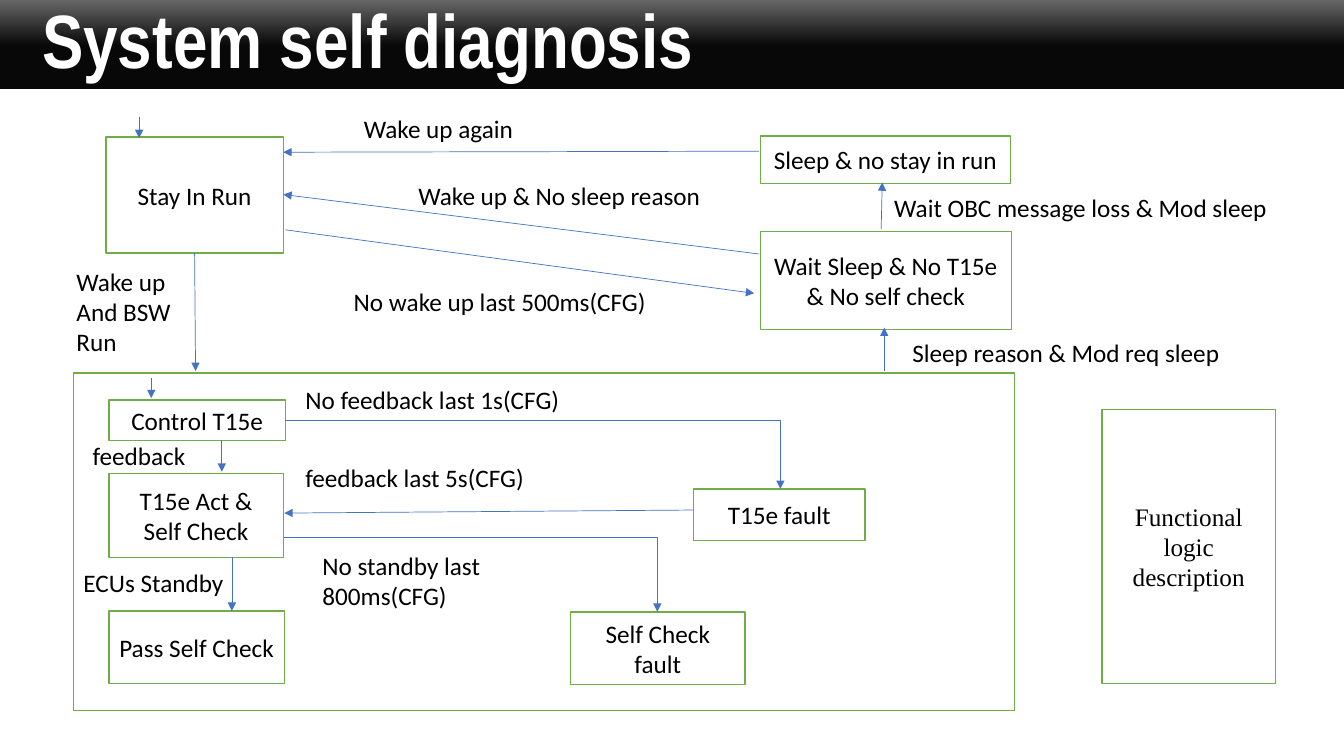
from lxml import etree
from pptx import Presentation
from pptx.dml.color import RGBColor
from pptx.enum import shapes, text
from pptx.oxml.ns import qn
from pptx.util import Inches, Pt

BLACK = RGBColor(0x00, 0x00, 0x00)
NEAR_BLACK = RGBColor(0x08, 0x08, 0x08)
GREY = RGBColor(0x66, 0x66, 0x66)
WHITE = RGBColor(0xFF, 0xFF, 0xFF)
GREEN = RGBColor(0x70, 0xAD, 0x47)
BLUE = RGBColor(0x44, 0x72, 0xC4)


def write(box, wording, align=text.PP_ALIGN.LEFT, font="Calibri", size=18, color=BLACK):
    """Fill a box with wrapped text, one paragraph for each line of the wording."""
    frame = box.text_frame
    frame.text = wording
    frame.word_wrap = True
    for para in frame.paragraphs:
        para.alignment = align
        for span in para.runs:
            span.font.name = font
            span.font.size = Pt(size)
            span.font.color.rgb = color


deck = Presentation()
deck.slide_width = Inches(13.33)
deck.slide_height = Inches(7.5)
page = deck.slides.add_slide(deck.slide_layouts[6])

# Header band and title
band = page.shapes.add_shape(
    shapes.MSO_SHAPE.RECTANGLE, 0, 0, deck.slide_width, Inches(0.88))
band.shadow.inherit = False
band.line.fill.background()
band.fill.gradient()
band.fill.gradient_angle = 90
for stop, position, color in zip(band.fill.gradient_stops, (0.48, 1), (NEAR_BLACK, GREY)):
    stop.position = position
    stop.color.rgb = color

title = page.shapes.add_textbox(Inches(0.32), 0, Inches(7.22), Inches(0.88))
write(title, "System self diagnosis", font="Arial Narrow", size=54, color=WHITE)
title.text_frame.vertical_anchor = text.MSO_ANCHOR.MIDDLE
title_para = title.text_frame.paragraphs[0]
title_para.line_spacing = 0.9
title_para.runs[0].font.bold = True

# States: left, top, width, height, wording, font
states = [
    (0.73, 3.7, 9.33, 3.35, "", "Calibri"),
    (1.05, 1.36, 1.76, 1.15, "Stay In Run", "Calibri"),
    (7.54, 1.35, 2.48, 0.47, "Sleep & no stay in run", "Calibri"),
    (7.54, 2.3, 2.49, 0.97, "Wait Sleep & No T15e & No self check", "Calibri"),
    (1.08, 3.97, 1.75, 0.4, "Control T15e", "Calibri"),
    (1.08, 4.7, 1.73, 0.83, "T15e Act &\nSelf Check", "Calibri"),
    (1.08, 6.06, 1.74, 0.72, "Pass Self Check", "Calibri"),
    (6.88, 4.85, 1.7, 0.51, "T15e fault", "Calibri"),
    (5.66, 6.07, 1.73, 0.72, "Self Check fault", "Calibri"),
    (10.93, 4.06, 1.72, 2.72, "Functional logic description", "Times New Roman"),
]
for left, top, width, height, wording, font in states:
    state = page.shapes.add_shape(
        shapes.MSO_SHAPE.RECTANGLE,
        Inches(left), Inches(top), Inches(width), Inches(height))
    state.shadow.inherit = False
    state.fill.solid()
    state.fill.fore_color.rgb = WHITE
    state.line.color.rgb = GREEN
    state.line.width = Pt(1)
    if wording:
        write(state, wording, text.PP_ALIGN.CENTER, font)
        state.text_frame.vertical_anchor = text.MSO_ANCHOR.MIDDLE

# Transitions: start x, start y, end x, end y, preset geometry
transitions = [
    (1.38, 1.16, 1.38, 1.37, "line"),
    (1.93, 2.51, 1.94, 3.68, "line"),
    (7.53, 1.5, 2.81, 1.51, "line"),
    (7.53, 2.52, 2.81, 1.93, "line"),
    (2.83, 2.28, 7.48, 2.91, "line"),
    (8.74, 2.27, 8.75, 1.81, "line"),
    (8.77, 3.68, 8.77, 3.25, "line"),
    (1.5, 3.75, 1.5, 3.95, "line"),
    (2.2, 4.37, 2.2, 4.68, "line"),
    (2.3, 5.53, 2.3, 6.06, "line"),
    (6.88, 5.06, 2.82, 5.09, "line"),
    (2.83, 4.17, 7.74, 4.85, "bentConnector2"),
    (2.82, 5.33, 6.52, 6.07, "bentConnector2"),
]
for start_x, start_y, end_x, end_y, geometry in transitions:
    arrow = page.shapes.add_connector(
        shapes.MSO_CONNECTOR.STRAIGHT,
        Inches(start_x), Inches(start_y), Inches(end_x), Inches(end_y))
    arrow.line.color.rgb = BLUE
    arrow.line.width = Pt(0.5)
    properties = arrow._element.spPr
    properties.find(qn("a:prstGeom")).set("prst", geometry)
    etree.SubElement(properties.find(qn("a:ln")), qn("a:tailEnd"), type="triangle")
    etree.SubElement(properties, qn("a:effectLst"))

# Conditions: left, top, width, height, wording
conditions = [
    (3.51, 1.08, 1.81, 0.4, "Wake up again"),
    (4.05, 1.74, 3.12, 0.4, "Wake up & No sleep reason"),
    (3.41, 2.79, 3.12, 0.4, "No wake up last 500ms(CFG)"),
    (8.77, 1.86, 4.01, 0.4, "Wait OBC message loss & Mod sleep"),
    (8.95, 3.3, 3.36, 0.4, "Sleep reason & Mod req sleep"),
    (0.66, 2.59, 1.18, 1.01, "Wake up\nAnd BSW Run"),
    (2.93, 3.76, 2.85, 0.4, "No feedback last 1s(CFG)"),
    (0.82, 4.32, 1.13, 0.4, "feedback"),
    (2.93, 4.54, 2.37, 0.4, "feedback last 5s(CFG)"),
    (0.73, 5.58, 1.7, 0.4, "ECUs Standby"),
    (3.1, 5.41, 2.37, 0.71, "No standby last 800ms(CFG)"),
]
for left, top, width, height, wording in conditions:
    condition = page.shapes.add_textbox(
        Inches(left), Inches(top), Inches(width), Inches(height))
    write(condition, wording)

deck.save("out.pptx")
